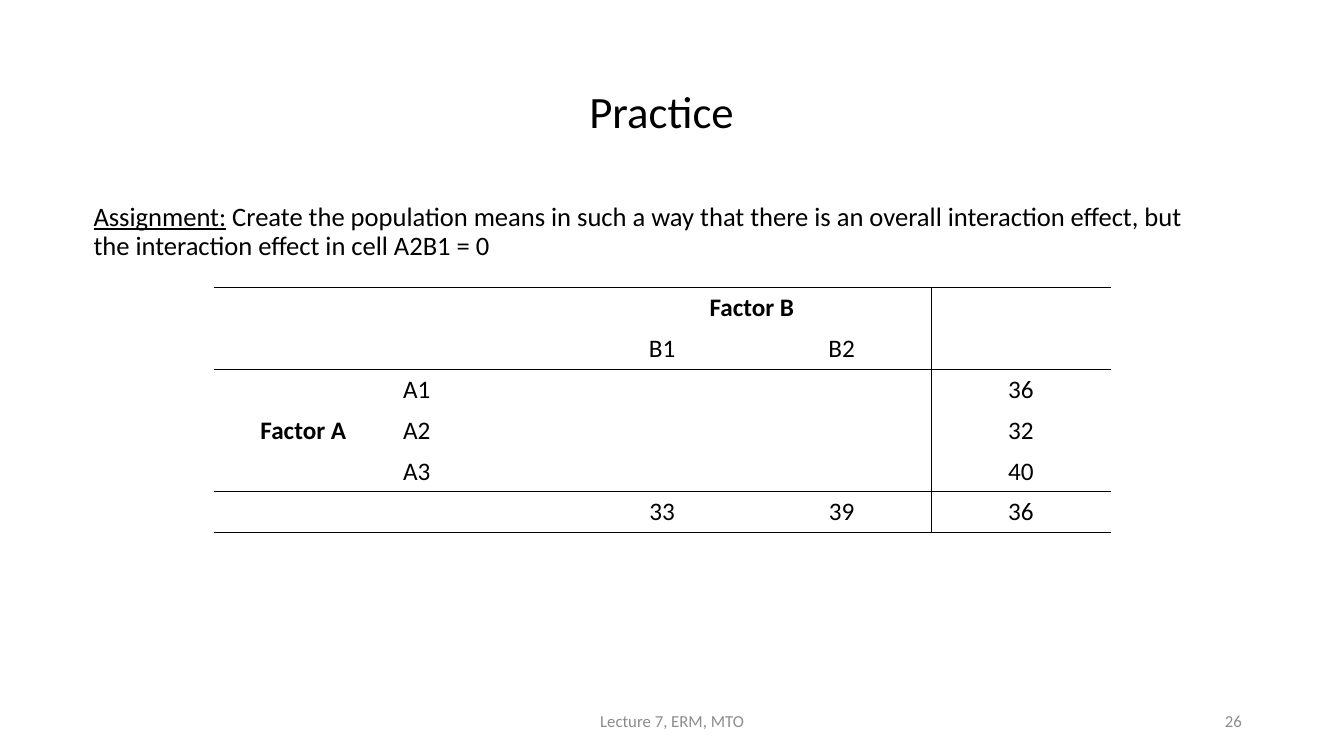
import pptx
import pptx.util
import pptx.dml.color
import pptx.enum.text
import pptx.oxml.ns
from dataclasses import dataclass
from lxml import etree

PX = 4572  # EMU per px, 200 px to the inch
ALIGN = pptx.enum.text.PP_ALIGN
ANCHOR = pptx.enum.text.MSO_ANCHOR


@dataclass(frozen=True)
class Theme:
    face: str = "Calibri"
    ink: str = "000000"
    gray: str = "8C8C8C"
    title: int = 32
    body: int = 19
    cell: int = 18
    foot: int = 12
    rule: int = 1


class Page:
    def __init__(self, deck, theme):
        self.theme = theme
        self.slide = deck.slides.add_slide(deck.slide_layouts[6])

    def style(self, para, size, color, align, bold=False):
        para.alignment = align
        font = para.font
        font.name = self.theme.face
        font.size = pptx.util.Pt(size)
        font.bold = bold
        font.color.rgb = pptx.dml.color.RGBColor.from_string(color)

    def text(self, box, runs, size, color, align, anchor=ANCHOR.MIDDLE, space=1.0):
        """Add a text box; runs are (words, underline) pairs."""
        frame = self.slide.shapes.add_textbox(*(n * PX for n in box)).text_frame
        frame.word_wrap = True
        frame.vertical_anchor = anchor
        para = frame.paragraphs[0]
        self.style(para, size, color, align)
        para.line_spacing = space
        for words, under in runs:
            run = para.add_run()
            run.text = words
            if under:
                run.font.underline = True

    def edge(self, cell, sides):
        """Rule the named sides of a cell and clear the others."""
        props = cell._tc.get_or_add_tcPr()
        for spot, side in enumerate("LRTB"):
            line = etree.Element(pptx.oxml.ns.qn("a:ln" + side))
            if side in sides:
                line.set("w", str(pptx.util.Pt(self.theme.rule)))
                fill = etree.SubElement(line, pptx.oxml.ns.qn("a:solidFill"))
                etree.SubElement(fill, pptx.oxml.ns.qn("a:srgbClr"), val=self.theme.ink)
            else:
                line.set("w", "0")
                etree.SubElement(line, pptx.oxml.ns.qn("a:noFill"))
            props.insert(spot, line)

    def table(self, left, top, wide, high, rows, spans, bold, start, across, down):
        """Add a table with rules at the row edges across and column edges down."""
        count = len(rows[0])
        grid = self.slide.shapes.add_table(
            len(rows), count, left * PX, top * PX,
            count * wide * PX, len(rows) * high * PX).table
        grid.first_row = grid.horz_banding = False
        for col in grid.columns:
            col.width = wide * PX
        for r, row in enumerate(rows):
            grid.rows[r].height = high * PX
            for c, words in enumerate(row):
                cell = grid.cell(r, c)
                cell.text = words
                align = ALIGN.LEFT if c == start else ALIGN.CENTER
                self.style(cell.text_frame.paragraphs[0], self.theme.cell,
                           self.theme.ink, align, words in bold)
                cell.fill.background()
                marks = {"L": c in down, "R": c + 1 in down,
                         "T": r in across, "B": r + 1 in across}
                self.edge(cell, [side for side, on in marks.items() if on])
        for first, last in spans:
            cell = grid.cell(*first)
            cell.merge(grid.cell(*last))
            cell.vertical_anchor = ANCHOR.MIDDLE


def main():
    deck = pptx.Presentation()
    deck.slide_width, deck.slide_height = 2667 * PX, 1500 * PX
    theme = Theme()
    page = Page(deck, theme)

    # Title and assignment
    page.text((142, 144, 2342, 166), [("Practice", False)],
              theme.title, theme.ink, ALIGN.CENTER, space=0.9)
    page.text((166, 394, 2200, 140),
              [("Assignment:", True),
               (" Create the population means in such a way that there is an overall "
                "interaction effect, but the interaction effect in cell A2B1 = 0", False)],
              theme.body, theme.ink, ALIGN.LEFT, ANCHOR.TOP, 0.9)

    # Table of means
    rows = [
        ["", "", "Factor B", "", ""],
        ["", "", "B1", "B2", ""],
        ["Factor A", "A1", "", "", "36"],
        ["", "A2", "", "", "32"],
        ["", "A3", "", "", "40"],
        ["", "", "33", "39", "36"],
    ]
    page.table(424, 571, 356, 81, rows,
               spans=[((0, 2), (0, 3)), ((2, 0), (4, 0))],
               bold=("Factor A", "Factor B"), start=1,
               across=(0, 2, 5, 6), down=(4,))

    # Footer and page number
    page.text((884, 1390, 900, 80), [("Lecture 7, ERM, MTO", False)],
              theme.foot, theme.gray, ALIGN.CENTER)
    page.text((1884, 1390, 600, 80), [("26", False)],
              theme.foot, theme.gray, ALIGN.RIGHT)

    deck.save("out.pptx")


if __name__ == "__main__":
    main()
